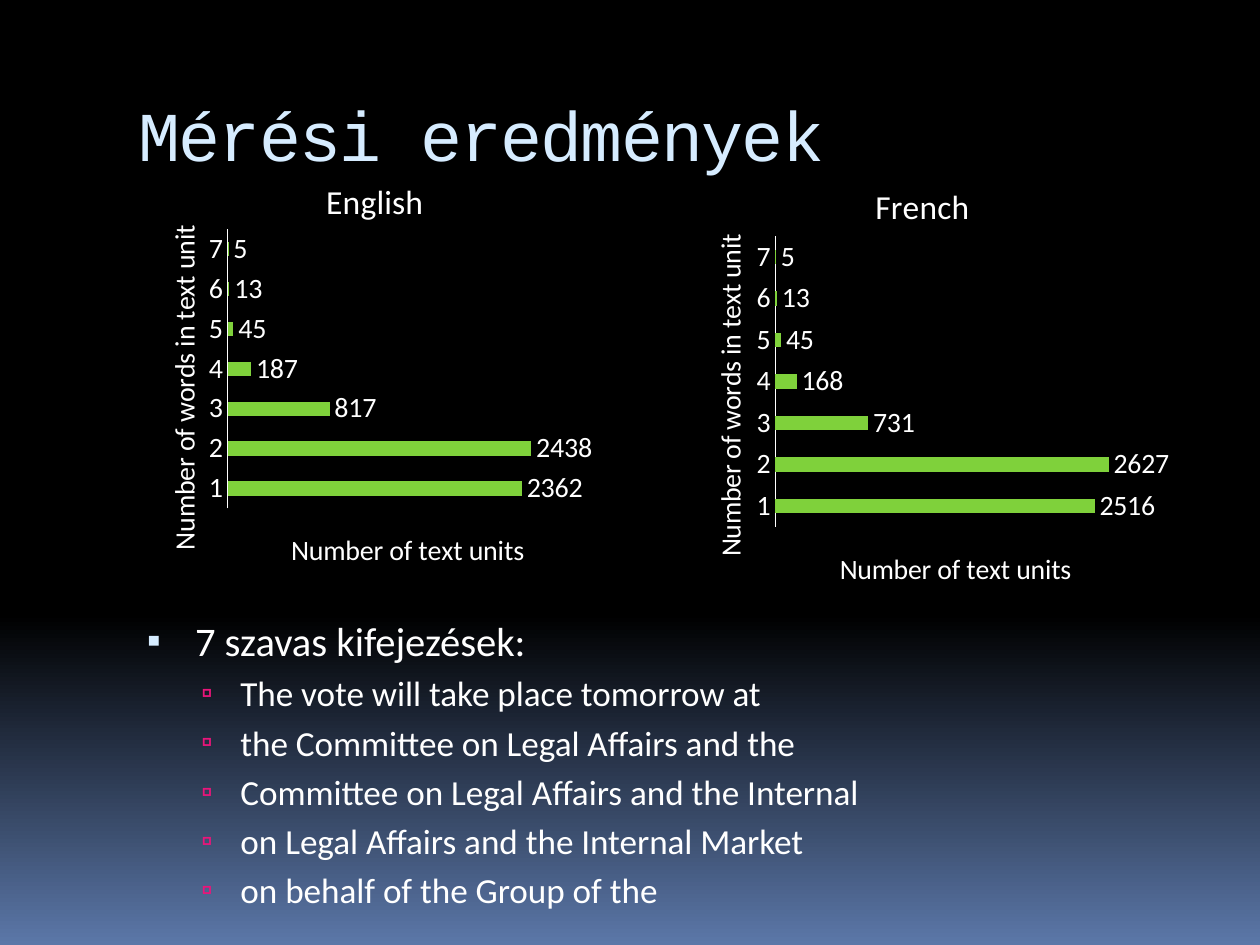
from copy import deepcopy

from lxml import etree
from pptx import Presentation
from pptx.chart.data import CategoryChartData
from pptx.dml.color import RGBColor
from pptx.enum.chart import XL_CHART_TYPE, XL_LABEL_POSITION, XL_TICK_MARK
from pptx.enum.text import MSO_ANCHOR
from pptx.oxml.ns import qn
from pptx.util import Inches, Pt

BAR = XL_CHART_TYPE.BAR_CLUSTERED
OUTSIDE_END = XL_LABEL_POSITION.OUTSIDE_END
NO_TICK = XL_TICK_MARK.NONE
MIDDLE, TOP = MSO_ANCHOR.MIDDLE, MSO_ANCHOR.TOP

WHITE = RGBColor(0xFF, 0xFF, 0xFF)
BLACK = RGBColor(0x00, 0x00, 0x00)
PALE_BLUE = RGBColor(0xD6, 0xEC, 0xFF)
DUSK_BLUE = RGBColor(0x5B, 0x77, 0xA8)
GREEN = RGBColor(0x7F, 0xD1, 0x3B)
PINK = RGBColor(0xEA, 0x15, 0x7A)

BACKDROP = [(0, BLACK), (0.65, BLACK), (1, DUSK_BLUE)]
LEVELS = [
    {"size": 23.2, "before": 7, "margin": 0.45, "hang": 0.38,
     "char": "▪", "color": PALE_BLUE, "percent": 95},
    {"size": 20.1, "before": 4, "margin": 0.81, "hang": 0.31,
     "char": "▫", "color": PINK, "percent": 90},
]
PHRASES = [
    (0, "7 szavas kifejezések:"),
    (1, "The vote will take place tomorrow at"),
    (1, "the Committee on Legal Affairs and the"),
    (1, "Committee on Legal Affairs and the Internal"),
    (1, "on Legal Affairs and the Internal Market"),
    (1, "on behalf of the Group of the"),
]
LANGUAGES = [
    ("English", (1, 1.15, 3.85, 3.52), (2362, 2438, 817, 187, 45, 13, 5)),
    ("French", (5.33, 1.18, 3.95, 3.66), (2516, 2627, 731, 168, 45, 13, 5)),
]


def add_child(parent, tag, **attributes):
    return etree.SubElement(parent, qn(tag), attributes)


def set_layout(element, index, inner=False, **fractions):
    """Place a chart part by fractions of the chart's size."""
    for old in element.findall(qn("c:layout")):
        element.remove(old)
    layout = etree.Element(qn("c:layout"))
    manual = add_child(layout, "c:manualLayout")
    if inner:
        add_child(manual, "c:layoutTarget", val="inner")
    for side in ("x", "y"):
        add_child(manual, f"c:{side}Mode", val="edge")
    for name, value in fractions.items():
        add_child(manual, f"c:{name}", val=str(value))
    element.insert(index, layout)


class SlideBuilder:
    def __init__(self, slide, font="Calibri", color=WHITE):
        self.slide, self.font, self.color = slide, font, color

    def style(self, font, size, **changes):
        values = {"name": self.font, "size": Pt(size), "bold": False, **changes}
        for name, value in values.items():
            setattr(font, name, value)
        font.color.rgb = self.color

    def background(self, stops):
        fill = self.slide.background.fill
        fill.gradient()
        fill.gradient_angle = 270
        stop_list = next(self.slide.element.iter(qn("a:gsLst")))
        while len(stop_list) < len(stops):
            stop_list.append(deepcopy(stop_list[0]))
        for stop, (position, color) in zip(fill.gradient_stops, stops):
            stop.position = position
            stop.color.rgb = color

    def text_frame(self, box, anchor):
        frame = self.slide.shapes.add_textbox(*map(Inches, box)).text_frame
        frame.word_wrap = True
        frame.vertical_anchor = anchor
        return frame

    def heading(self, text, box):
        run = self.text_frame(box, MIDDLE).paragraphs[0].add_run()
        run.text = text
        self.style(run.font, 40, name="Courier New")
        run.font.color.rgb = PALE_BLUE
        run.font._element.set("spc", "-100")

    def bullets(self, items, box):
        frame = self.text_frame(box, TOP)
        for number, (depth, text) in enumerate(items):
            paragraph = frame.add_paragraph() if number else frame.paragraphs[0]
            level = LEVELS[depth]
            paragraph.level = depth
            paragraph.space_before = Pt(level["before"])
            run = paragraph.add_run()
            run.text = text
            self.style(run.font, level["size"])
            properties = paragraph._p.get_or_add_pPr()
            properties.set("marL", str(Inches(level["margin"])))
            properties.set("indent", str(-Inches(level["hang"])))
            add_child(add_child(properties, "a:buClr"), "a:srgbClr",
                      val=str(level["color"]))
            add_child(properties, "a:buSzPct", val=str(level["percent"] * 1000))
            add_child(properties, "a:buFont", typeface=self.font)
            add_child(properties, "a:buChar", char=level["char"])

    def chart_text(self, title, text, size, x, y):
        run = title.text_frame.paragraphs[0].add_run()
        run.text = text
        self.style(run.font, size)
        set_layout(title._element, 1, x=x, y=y)

    def bar_chart(self, name, box, counts):
        data = CategoryChartData()
        data.categories = [str(words) for words in range(1, len(counts) + 1)]
        data.add_series("Series 1", counts)
        chart = self.slide.shapes.add_chart(BAR, *map(Inches, box), data).chart
        self.style(chart.font, 16)
        chart.has_legend = False
        words_axis, units_axis = chart.category_axis, chart.value_axis
        self.chart_text(chart.chart_title, name, 19.2, 0.4, 0.06)
        self.chart_text(words_axis.axis_title, "Number of words in text unit",
                        16, 0.07, 0.17)
        self.chart_text(units_axis.axis_title, "Number of text units",
                        16, 0.33, 0.86)
        # Category title reads upwards along its axis
        body = words_axis.axis_title.text_frame._txBody.bodyPr
        body.set("rot", "-5400000")
        body.set("vert", "horz")

        words_axis.major_tick_mark = words_axis.minor_tick_mark = NO_TICK
        words_axis.format.line.color.rgb = self.color
        words_axis.format.line.width = Pt(0.75)
        units_axis.has_major_gridlines = False
        units_axis.minimum_scale, units_axis.maximum_scale = 0, 3000
        units_axis.visible = False

        plot = chart.plots[0]
        plot.gap_width = 182
        plot.vary_by_categories = False
        fill = plot.series[0].format.fill
        fill.solid()
        fill.fore_color.rgb = GREEN
        plot.has_data_labels = True
        labels = plot.data_labels
        labels.show_value = True
        labels.position = OUTSIDE_END
        self.style(labels.font, 16)
        plot_area = next(chart.element.iter(qn("c:plotArea")))
        set_layout(plot_area, 0, inner=True, x=0.21, y=0.19, w=0.77, h=0.63)


def main():
    deck = Presentation()
    deck.slide_width, deck.slide_height = Inches(10), Inches(7.5)
    builder = SlideBuilder(deck.slides.add_slide(deck.slide_layouts[6]))
    builder.background(BACKDROP)
    builder.heading("Mérési eredmények", (1, 0.56, 8.5, 1))
    builder.bullets(PHRASES, (1, 4.84, 8.5, 2.11))
    for language in LANGUAGES:
        builder.bar_chart(*language)
    deck.save("out.pptx")


if __name__ == "__main__":
    main()
